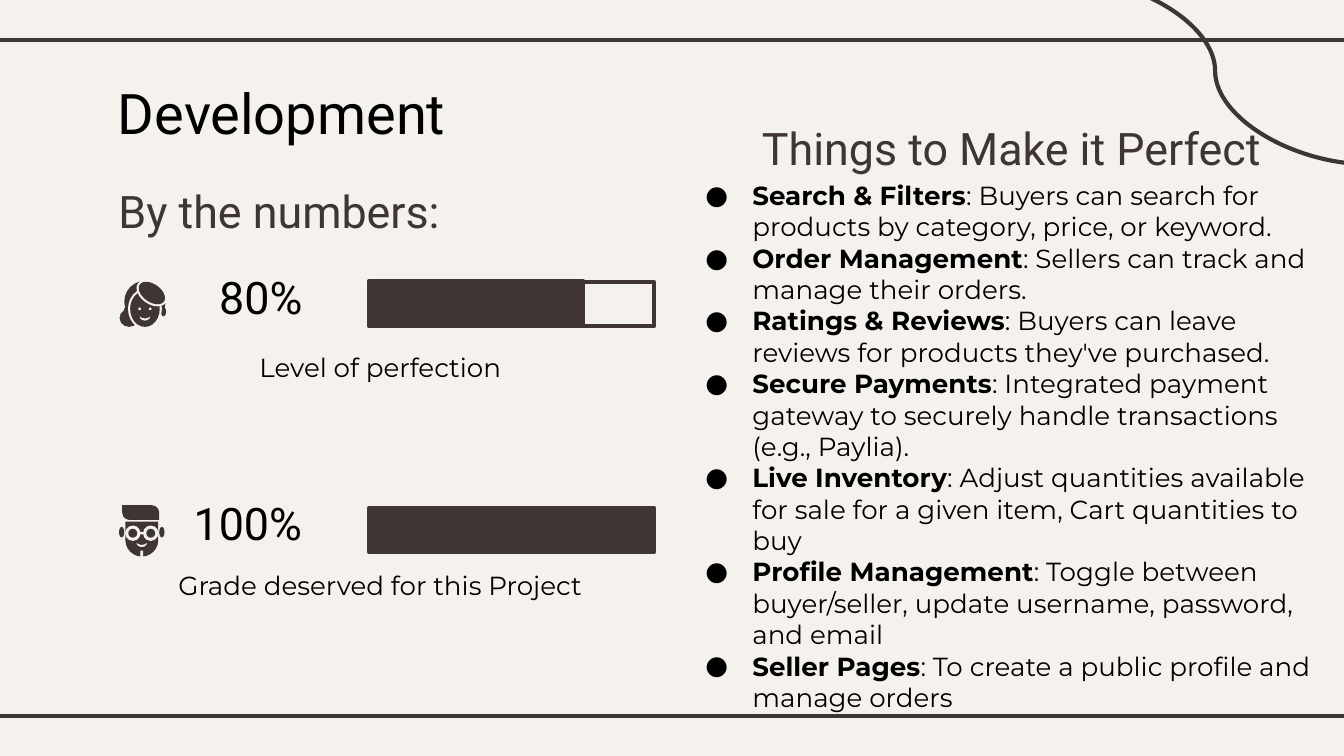
import pptx
import pptx.dml.color
import pptx.enum.shapes
import pptx.enum.text
import pptx.oxml
import pptx.oxml.ns
import pptx.util
import lxml.etree

Cm = pptx.util.Cm
COLORS = {"paper": "F5F2EE", "brown": "3F3533", "black": "000000"}
RGB = {name: pptx.dml.color.RGBColor.from_string(code) for name, code in COLORS.items()}
ALIGN = pptx.enum.text.PP_ALIGN
CONNECTOR = pptx.enum.shapes.MSO_CONNECTOR
SHAPE = pptx.enum.shapes.MSO_SHAPE
LINE_WIDTH = pptx.util.Pt(2.25)

deck = pptx.Presentation()
deck.slide_width = Cm(25.4)
deck.slide_height = Cm(14.29)
page = deck.slides.add_slide(deck.slide_layouts[6])
page.background.fill.solid()
page.background.fill.fore_color.rgb = RGB["paper"]


def add_text(left, top, width, height, paragraphs, size, font, color, align=ALIGN.LEFT, inset=0.25):
    box = page.shapes.add_textbox(Cm(left), Cm(top), Cm(width), Cm(height))
    frame = box.text_frame
    frame.word_wrap = True
    frame.margin_left = frame.margin_right = Cm(inset)
    frame.margin_top = frame.margin_bottom = Cm(inset)
    for index, runs in enumerate(paragraphs):
        para = frame.paragraphs[0] if index == 0 else frame.add_paragraph()
        para.alignment = align
        for text, bold in runs:
            span = para.add_run()
            span.text = text
            span.font.size = pptx.util.Pt(size)
            span.font.name = font
            span.font.bold = bold
            span.font.color.rgb = RGB[color]
    return frame


def add_part(kind, center_x, center_y, width, height, color, rotation=0):
    part = page.shapes.add_shape(
        kind, Cm(center_x - width / 2), Cm(center_y - height / 2), Cm(width), Cm(height))
    part.rotation = rotation
    part.shadow.inherit = False
    part.fill.solid()
    part.fill.fore_color.rgb = RGB[color]
    part.line.fill.background()
    return part


for kind, x1, y1, x2, y2 in (
    (CONNECTOR.STRAIGHT, -0.2, 0.76, 25.6, 0.76),
    (CONNECTOR.STRAIGHT, -0.2, 13.54, 25.6, 13.54),
    (CONNECTOR.CURVE, 20.02, -0.43, 25.91, 3.11),
):
    rule = page.shapes.add_connector(kind, Cm(x1), Cm(y1), Cm(x2), Cm(y2))
    rule.line.color.rgb = RGB["brown"]
    rule.line.width = LINE_WIDTH
    lxml.etree.SubElement(rule.element.spPr, pptx.oxml.ns.qn("a:effectLst"))

add_text(1.98, 1.24, 21.44, 1.6, [[("Development", False)]], 30, "Roboto", "black")

woman_x, woman_eyes_y = 2.74, 5.84
add_part(SHAPE.OVAL, woman_x - 0.3, woman_eyes_y + 0.17, 0.36, 0.34, "brown")
add_part(SHAPE.OVAL, woman_x, woman_eyes_y - 0.14, 0.78, 0.78, "brown")
for ear_side in (-1, 1):
    add_part(SHAPE.OVAL, woman_x + ear_side * 0.35, woman_eyes_y + 0.05, 0.1, 0.18, "brown")
add_part(SHAPE.OVAL, woman_x, woman_eyes_y, 0.64, 0.76, "paper")
add_part(SHAPE.OVAL, woman_x, woman_eyes_y, 0.56, 0.68, "brown")
for fringe_color, margin in (("paper", 0.08), ("brown", 0)):
    add_part(SHAPE.OVAL, woman_x + 0.13, woman_eyes_y - 0.3, 0.56 + margin, 0.34 + margin, fringe_color, 35)
for eye_side in (-1, 1):
    add_part(SHAPE.OVAL, woman_x + eye_side * 0.1, woman_eyes_y, 0.05, 0.05, "paper")
add_part(SHAPE.MOON, woman_x, woman_eyes_y + 0.18, 0.08, 0.2, "paper", 270)

man_x, man_eyes_y = 2.68, 10.08
hair = add_part(SHAPE.ROUND_2_DIAG_RECTANGLE, man_x - 0.02, man_eyes_y - 0.39, 0.7, 0.28, "brown")
hair.adjustments[0] = 0
hair.adjustments[1] = 0.5
head = add_part(SHAPE.ROUND_2_SAME_RECTANGLE, man_x, man_eyes_y + 0.11, 0.62, 0.66, "brown", 180)
head.adjustments[0] = 0.5
for side in (-1, 1):
    add_part(SHAPE.OVAL, man_x + side * 0.38, man_eyes_y - 0.02, 0.1, 0.2, "brown")
    add_part(SHAPE.OVAL, man_x + side * 0.17, man_eyes_y, 0.29, 0.29, "paper")
    add_part(SHAPE.OVAL, man_x + side * 0.17, man_eyes_y, 0.17, 0.17, "brown")
add_part(SHAPE.RECTANGLE, man_x, man_eyes_y, 0.1, 0.05, "paper")
add_part(SHAPE.MOON, man_x, man_eyes_y + 0.22, 0.08, 0.2, "paper", 270)
add_part(SHAPE.RECTANGLE, man_x, man_eyes_y + 0.39, 0.05, 0.12, "paper")

for left, top, width, label in ((3.99, 5.1, 1.88, "80%"), (3.53, 9.38, 2.31, "100%")):
    add_text(left, top, width, 1.3, [[(label, False)]], 24, "Roboto", "black", ALIGN.CENTER, 0)

bar_left, bar_width, bar_height = 6.98, 5.38, 0.84
for top, width, filled in ((9.6, bar_width, True), (5.33, bar_width, False), (5.31, 4.04, True)):
    bar = add_part(
        SHAPE.RECTANGLE, bar_left + width / 2, top + bar_height / 2, width, bar_height, "brown")
    if not filled:
        bar.fill.background()
    bar.line.color.rgb = RGB["brown"]
    bar.line.width = LINE_WIDTH

for top, height, caption in ((6.4, 1.07, "Level of perfection"), (10.52, 0.86, "Grade deserved for this Project")):
    add_text(2.01, top, 10.36, height, [[(caption, False)]], 14, "Montserrat", "black", ALIGN.CENTER)

add_text(2.24, 3.48, 7.09, 1.07, [[("By the numbers:", False)]], 24, "Roboto", "brown", inset=0)
add_text(14.15, 2.03, 10.24, 1.37, [[("Things to Make it Perfect", False)]], 24, "Roboto", "brown")

features = [
    ("Search & Filters", "Buyers can search for products by category, price, or keyword."),
    ("Order Management", "Sellers can track and manage their orders."),
    ("Ratings & Reviews", "Buyers can leave reviews for products they've purchased."),
    ("Secure Payments", "Integrated payment gateway to securely handle transactions (e.g., Paylia)."),
    ("Live Inventory", "Adjust quantities available for sale for a given item, Cart quantities to buy"),
    ("Profile Management", "Toggle between buyer/seller, update username, password, and email"),
    ("Seller Pages", "To create a public profile and manage orders"),
]
feature_list = add_text(
    12.7, 3.14, 12.37, 10.36,
    [[(name, True), (": " + detail, False)] for name, detail in features],
    14, "Montserrat", "black")
for para in feature_list.paragraphs:
    properties = para._p.get_or_add_pPr()
    properties.set("marL", str(Cm(1.27)))
    properties.set("indent", str(Cm(-0.89)))
    bullet_color = lxml.etree.SubElement(properties, pptx.oxml.ns.qn("a:buClr"))
    lxml.etree.SubElement(bullet_color, pptx.oxml.ns.qn("a:srgbClr"), val=COLORS["black"])
    lxml.etree.SubElement(properties, pptx.oxml.ns.qn("a:buSzPts"), val="1400")
    lxml.etree.SubElement(properties, pptx.oxml.ns.qn("a:buFont"), typeface="Montserrat")
    lxml.etree.SubElement(properties, pptx.oxml.ns.qn("a:buChar"), char="●")

deck.save("out.pptx")
